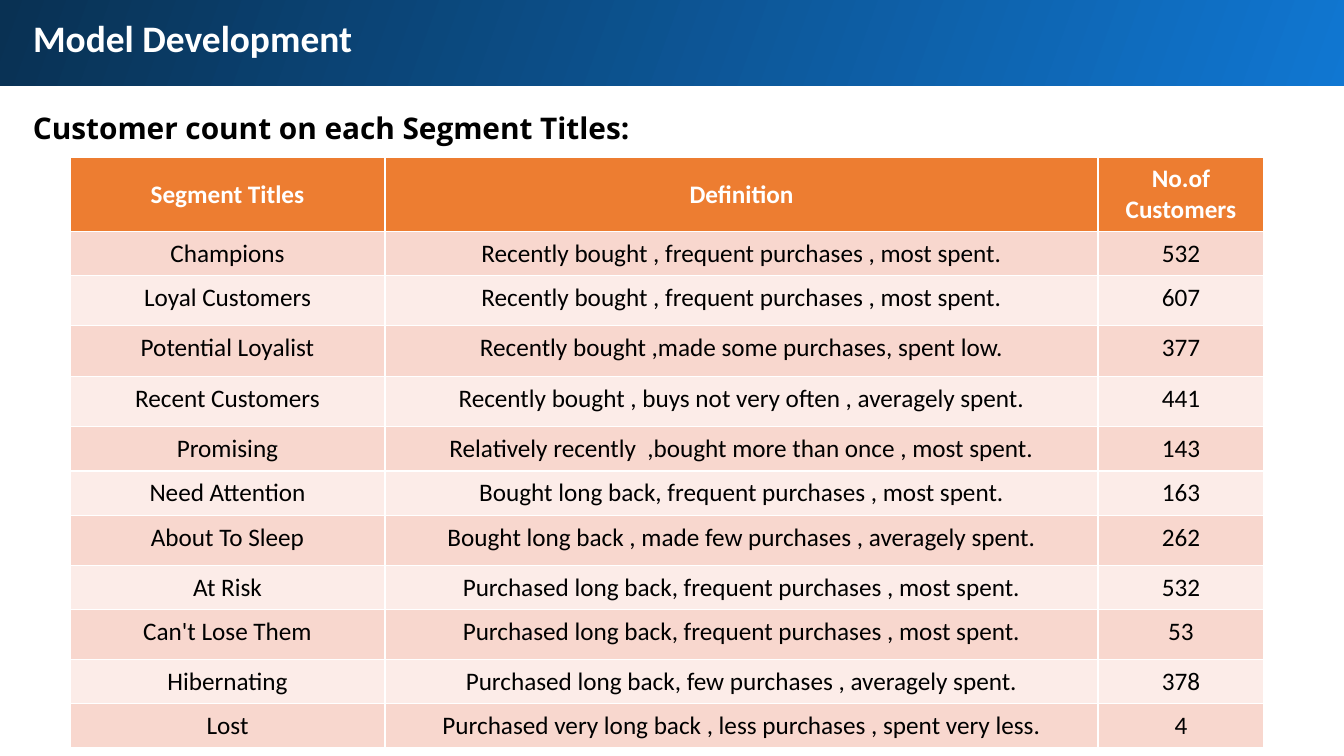
from pptx import Presentation
from pptx import util as u
from pptx.dml.color import RGBColor
from pptx.enum import shapes, text

PX = 9071  # EMU per pixel, 100.8 px to the inch
WHITE = RGBColor(0xFF, 0xFF, 0xFF)
BLACK = RGBColor(0x00, 0x00, 0x00)
BLUE = RGBColor(0x10, 0x77, 0xD2)
NAVY = RGBColor(0x09, 0x31, 0x53)
ORANGE = RGBColor(0xED, 0x7D, 0x31)
PEACH = RGBColor(0xF8, 0xD7, 0xCE)
PALE = RGBColor(0xFC, 0xEC, 0xE8)


def px(*lengths):
    """Turn pixel lengths into a list of EMU lengths."""
    return [u.Emu(n * PX) for n in lengths]


def write(tf, words, color, spacing=None, align=None, **font):
    p = tf.paragraphs[0]
    p.line_spacing = spacing
    p.alignment = align
    r = p.add_run()
    r.text = words
    r.font.color.rgb = color
    for name, value in font.items():
        setattr(r.font, name, value)


prs = Presentation()
prs.slide_width, prs.slide_height = px(1344, 756)
s = prs.slides.add_slide(prs.slide_layouts[6])

# Header band
band = s.shapes.add_shape(shapes.MSO_SHAPE.RECTANGLE, *px(0, 0, 1351, 86))
band.shadow.inherit = False
band.line.fill.background()
band.fill.gradient()
band.fill.gradient_angle = 160
for stop, color, position in zip(band.fill.gradient_stops, (BLUE, NAVY), (0, 1)):
    stop.color.rgb = color
    stop.position = position

# Title and subtitle
headings = [
    ((20, 2, 1269, 73), "Model Development", WHITE, None, "Calibri", 26.7),
    ((20, 91, 690, 67), "Customer count on each Segment Titles:", BLACK, 1.15, "Open Sans", 21.3),
]
for box, words, color, spacing, face, size in headings:
    tf = s.shapes.add_textbox(*px(*box)).text_frame
    tf.word_wrap = True
    tf.auto_size = text.MSO_AUTO_SIZE.SHAPE_TO_FIT_TEXT
    for side in ("left", "top", "right", "bottom"):
        setattr(tf, f"margin_{side}", px(13)[0])
    write(tf, words, color, spacing, name=face, size=u.Pt(size), bold=True)

# Segment table
segments = [
    ("Segment Titles", "Definition", "No.of Customers"),
    ("Champions", "Recently bought , frequent purchases , most spent.", "532"),
    ("Loyal Customers", "Recently bought , frequent purchases , most spent.", "607"),
    ("Potential Loyalist", "Recently bought ,made some purchases, spent low.", "377"),
    ("Recent Customers", "Recently bought , buys not very often , averagely spent.", "441"),
    ("Promising", "Relatively recently  ,bought more than once , most spent.", "143"),
    ("Need Attention", "Bought long back, frequent purchases , most spent.", "163"),
    ("About To Sleep", "Bought long back , made few purchases , averagely spent.", "262"),
    ("At Risk", "Purchased long back, frequent purchases , most spent.", "532"),
    ("Can't Lose Them", "Purchased long back, frequent purchases , most spent.", "53"),
    ("Hibernating", "Purchased long back, few purchases , averagely spent.", "378"),
    ("Lost", "Purchased very long back , less purchases , spent very less.", "4"),
]
col_widths = (315, 713, 166)
row_heights = (73, 44, 50, 51, 50, 44, 44, 50, 44, 50, 44, 44)
table = s.shapes.add_table(
    len(segments), len(col_widths), *px(70, 157, sum(col_widths), sum(row_heights))
).table
for column, width in zip(table.columns, px(*col_widths)):
    column.width = width
for row, height in zip(table.rows, px(*row_heights)):
    row.height = height

cell_format = dict(zip(
    ("margin_left", "margin_top", "margin_right", "margin_bottom"), px(13, 7, 13, 7)
))
for i, segment in enumerate(segments):
    header = i == 0
    fill = ORANGE if header else PEACH if i % 2 else PALE
    for j, words in enumerate(segment):
        cell = table.cell(i, j)
        cell.fill.solid()
        cell.fill.fore_color.rgb = fill
        for name, value in cell_format.items():
            setattr(cell, name, value)
        write(
            cell.text_frame, words, WHITE if header else BLACK,
            1.5 if header and j < 2 else None, text.PP_ALIGN.CENTER,
            name="Calibri", size=u.Pt(18), bold=header,
        )

prs.save("out.pptx")
